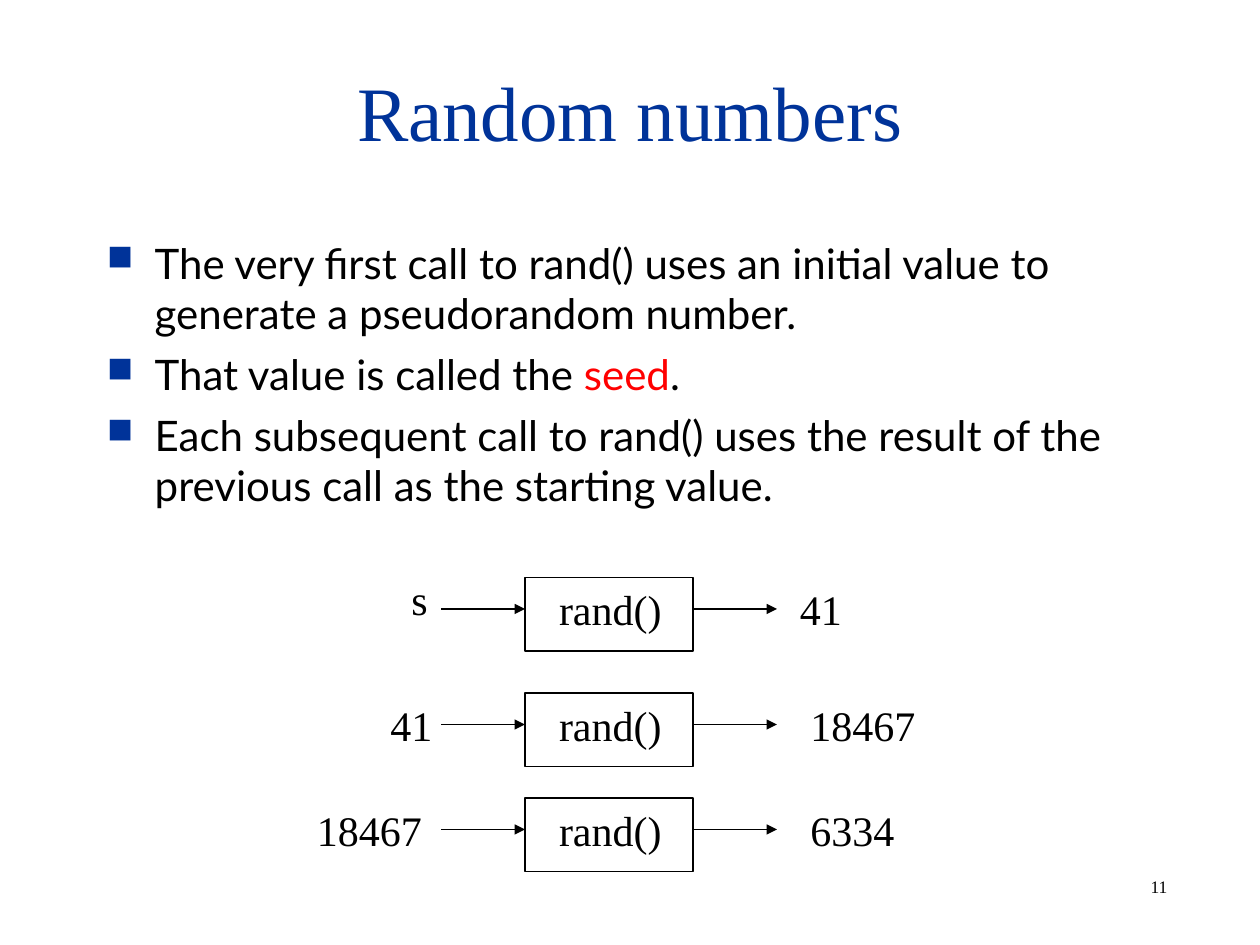
"""Build the slide on random numbers and the chain of rand() calls."""
import dataclasses

import pptx
import pptx.dml.color
import pptx.enum.shapes
import pptx.enum.text
import pptx.oxml.ns
import pptx.util
from lxml import etree


@dataclasses.dataclass(frozen=True)
class Theme:
    """Colours, fonts and type sizes of the slide."""

    ink: str = "000000"
    navy: str = "003399"
    accent: str = "FF0000"
    serif: str = "Times New Roman"
    sans: str = "Lato"
    title_size: int = 44
    text_size: int = 24
    number_size: int = 10
    line_width: float = 0.75


THEME = Theme()
COLUMNS, ROWS = 120, 90
WIDTH, HEIGHT = pptx.util.Inches(10), pptx.util.Inches(7.5)
LEFT = pptx.enum.text.PP_ALIGN.LEFT
CENTER = pptx.enum.text.PP_ALIGN.CENTER
TOP = pptx.enum.text.MSO_ANCHOR.TOP
MIDDLE = pptx.enum.text.MSO_ANCHOR.MIDDLE

BULLETS = [
    [("The very first call to rand() uses an initial value to "
      "generate a pseudorandom number.", THEME.ink)],
    [("That value is called the ", THEME.ink), ("seed", THEME.accent), (".", THEME.ink)],
    [("Each subsequent call to rand() uses the result of the "
      "previous call as the starting value.", THEME.ink)],
]
CALLS = [
    (55, ("s", 38, 54, 4), ("41", 75, 55, 10)),
    (66, ("41", 36, 66, 7), ("18467", 76, 66, 13)),
    (76, ("18467", 29, 76, 13), ("6334", 76, 76, 13)),
]


def grid(column, row):
    """Return the slide position of a grid point."""
    return round(WIDTH * column / COLUMNS), round(HEIGHT * row / ROWS)


def assign(target, values):
    """Set each named attribute of the target."""
    for name, value in values.items():
        setattr(target, name, value)


def rgb(colour):
    """Return a colour object for a hex value."""
    return pptx.dml.color.RGBColor.from_string(colour)


def write(paragraph, text, size, colour=THEME.ink, font=THEME.serif):
    """Add a formatted run to a paragraph."""
    run = paragraph.add_run()
    run.text = text
    assign(run.font, {"size": pptx.util.Pt(size), "name": font})
    run.font.color.rgb = rgb(colour)


def add_text(slide, area, text="", size=THEME.text_size, colour=THEME.ink,
             align=LEFT, anchor=TOP):
    """Add a wrapping text box and return its frame."""
    column, row, columns, rows = area
    frame = slide.shapes.add_textbox(*grid(column, row), *grid(columns, rows)).text_frame
    assign(frame, {"word_wrap": True, "vertical_anchor": anchor})
    frame.paragraphs[0].alignment = align
    if text:
        write(frame.paragraphs[0], text, size, colour)
    return frame


def add_bullet_mark(paragraph):
    """Give a paragraph a square bullet and a hanging indent."""
    indent = pptx.util.Inches(0.38)
    properties = paragraph._p.get_or_add_pPr()
    properties.set("marL", str(indent))
    properties.set("indent", str(-indent))
    qn = pptx.oxml.ns.qn
    colour = etree.SubElement(properties, qn("a:buClr"))
    etree.SubElement(colour, qn("a:srgbClr"), val=THEME.navy)
    etree.SubElement(properties, qn("a:buSzPct"), val="85000")
    etree.SubElement(properties, qn("a:buChar"), char="■")


def add_bullets(slide, area, bullets):
    """Add the bulleted statements."""
    frame = add_text(slide, area)
    for index, pieces in enumerate(bullets):
        paragraph = frame.add_paragraph() if index else frame.paragraphs[0]
        add_bullet_mark(paragraph)
        if index:
            paragraph.space_before = pptx.util.Pt(6)
        for text, colour in pieces:
            write(paragraph, text, THEME.text_size, colour, THEME.sans)


def add_function_box(slide, row):
    """Add an outlined box that names the function."""
    box = slide.shapes.add_shape(
        pptx.enum.shapes.MSO_SHAPE.RECTANGLE, *grid(50, row), *grid(16, 7))
    box.shadow.inherit = False
    box.fill.background()
    box.line.color.rgb = rgb(THEME.ink)
    box.line.width = pptx.util.Pt(THEME.line_width)
    assign(box.text_frame, {
        "vertical_anchor": TOP,
        "margin_left": pptx.util.Inches(0.27),
        "margin_right": 0,
    })
    label = box.text_frame.paragraphs[0]
    label.alignment = LEFT
    write(label, "rand()", THEME.text_size)


def add_arrow(slide, start, end, row):
    """Add a horizontal arrow between two columns."""
    arrow = slide.shapes.add_connector(
        pptx.enum.shapes.MSO_CONNECTOR.STRAIGHT, *grid(start, row), *grid(end, row))
    arrow.line.color.rgb = rgb(THEME.ink)
    arrow.line.width = pptx.util.Pt(THEME.line_width)
    qn = pptx.oxml.ns.qn
    etree.SubElement(arrow.line._get_or_add_ln(), qn("a:tailEnd"), type="triangle")
    etree.SubElement(arrow._element.spPr, qn("a:effectLst"))


def add_call(slide, row, seed, result):
    """Add one call with its input, function box and output."""
    add_function_box(slide, row)
    for start, end in ((42, 50), (66, 74)):
        add_arrow(slide, start, end, row + 3)
    for text, column, text_row, columns in (seed, result):
        add_text(slide, (column, text_row, columns, 6), text)


def main():
    """Build and save the slide."""
    presentation = pptx.Presentation()
    assign(presentation, {"slide_width": WIDTH, "slide_height": HEIGHT})
    slide = presentation.slides.add_slide(presentation.slide_layouts[6])
    add_text(slide, (9, 3, 102, 15), "Random numbers", THEME.title_size,
             THEME.navy, CENTER, MIDDLE)
    add_bullets(slide, (9, 22, 102, 30), BULLETS)
    for call in CALLS:
        add_call(slide, *call)
    add_text(slide, (108.4, 82.8, 9.4, 3.2), "11", THEME.number_size)
    presentation.save("out.pptx")


if __name__ == "__main__":
    main()
